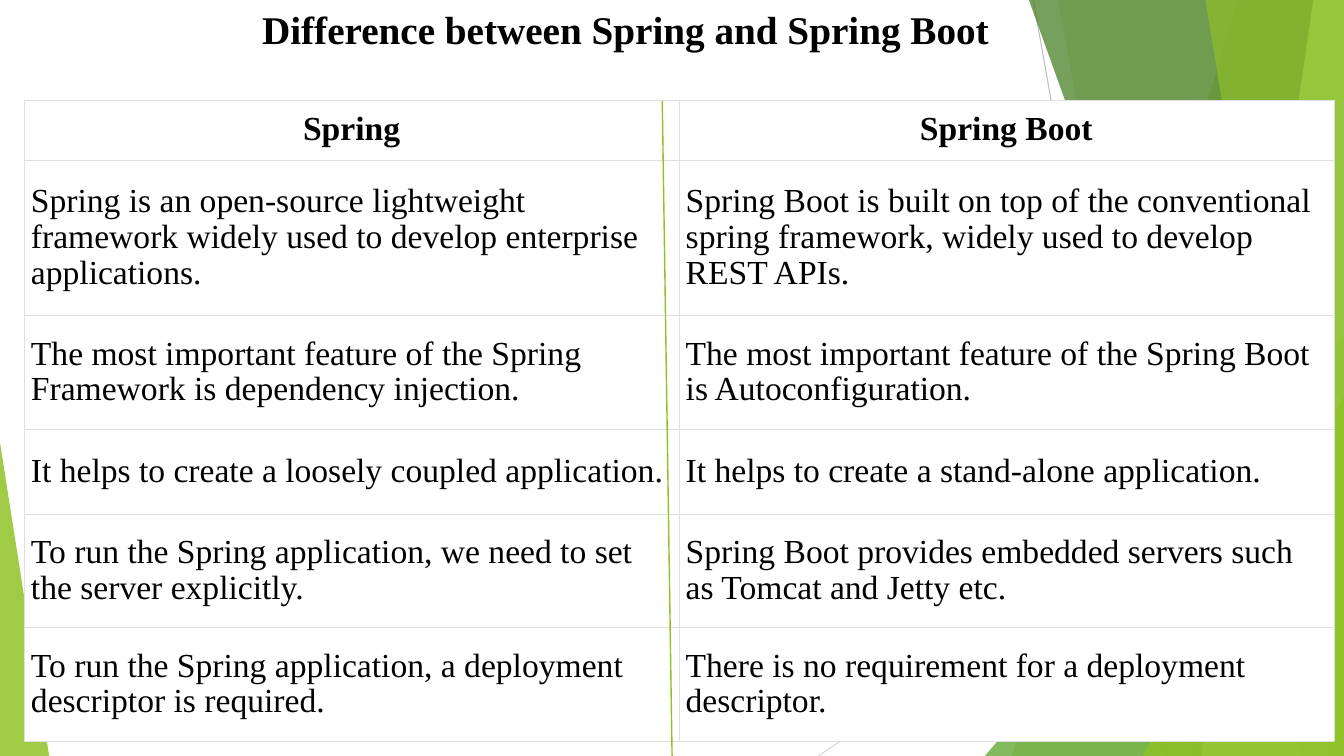
from lxml.etree import SubElement
from pptx import Presentation
from pptx.dml.color import RGBColor
from pptx.enum.shapes import MSO_CONNECTOR, MSO_SHAPE
from pptx.enum.text import MSO_ANCHOR, MSO_AUTO_SIZE, PP_ALIGN
from pptx.oxml.ns import qn
from pptx.util import Cm, Pt

WIDE, HIGH = 33.87, 19.05
FONT = "Times New Roman"
TITLE = "Difference between Spring and Spring Boot"
ROWS = [
    ("Spring", "Spring Boot"),
    ("Spring is an open-source lightweight framework widely used to develop "
     "enterprise applications.",
     "Spring Boot is built on top of the conventional spring framework, "
     "widely used to develop REST APIs."),
    ("The most important feature of the Spring Framework is dependency injection.",
     "The most important feature of the Spring Boot is Autoconfiguration."),
    ("It helps to create a loosely coupled application.",
     "It helps to create a stand-alone application."),
    ("To run the Spring application, we need to set the server explicitly.",
     "Spring Boot provides embedded servers such as Tomcat and Jetty etc."),
    ("To run the Spring application, a deployment descriptor is required.",
     "There is no requirement for a deployment descriptor."),
]
TALL = [1.5, 3.92, 2.86, 2.14, 2.86, 2.87]
RAYS = [
    (26.04, 0, 29.41, HIGH, "BFBFBF"),
    (WIDE, 10.24, 20.62, HIGH, "D9D9D9"),
]
# Bands: top x, bottom x. Wedges: left, top, width, apex. Then colour, opacity.
FACETS = [
    ("band", (31.19, 25.5), "90C226", 30),
    ("band", (26.67, 30.05), "90C226", 20),
    ("wedge", (24.82, 8.46, 9.05, 1), "54A021", 72),
    ("band", (25.93, 32.79), "3F7819", 70),
    ("band", (33.1, 30.28), "C0E474", 70),
    ("band", (30.38, 33.48), "90C226", 65),
    ("wedge", (28.8, 9.98, 5.07, 1), "90C226", 80),
    ("wedge", (0, 11.15, 1.24, 0), "90C226", 85),
]


def color(code):
    return RGBColor.from_string(code)


def line(x1, y1, x2, y2, code, size):
    part = shapes.add_connector(MSO_CONNECTOR.STRAIGHT, Cm(x1), Cm(y1), Cm(x2), Cm(y2))
    part.line.color.rgb = color(code)
    part.line.width = Pt(size)
    SubElement(part._element.spPr, qn("a:effectLst"))


def facet(kind, place, code, clear):
    if kind == "band":
        top, low = place
        pen = shapes.build_freeform(Cm(top), 0)
        pen.add_line_segments([(Cm(WIDE), 0), (Cm(WIDE), Cm(HIGH)), (Cm(low), Cm(HIGH))])
        part = pen.convert_to_shape()
    else:
        left, top, wide, apex = place
        part = shapes.add_shape(MSO_SHAPE.ISOSCELES_TRIANGLE, Cm(left), Cm(top),
                                Cm(wide), Cm(HIGH - top))
        part.adjustments[0] = apex
    part.shadow.inherit = False
    part.line.fill.background()
    part.fill.solid()
    part.fill.fore_color.rgb = color(code)
    tone = part._element.spPr.find(qn("a:solidFill"))[0]
    SubElement(tone, qn("a:alpha"), val=str(clear * 1000))


def write(para, text, size, bold):
    run = para.add_run()
    run.text = text
    run.font.name = FONT
    run.font.size = Pt(size)
    run.font.bold = bold
    run.font.color.rgb = color("000000")


def border(cell, code, size):
    props = cell._tc.get_or_add_tcPr()
    for spot, side in enumerate(("lnL", "lnR", "lnT", "lnB")):
        edge = props.makeelement(qn("a:" + side), {"w": str(Pt(size))})
        props.insert(spot, edge)
        SubElement(SubElement(edge, qn("a:solidFill")), qn("a:srgbClr"), val=code)


deck = Presentation()
deck.slide_width, deck.slide_height = Cm(WIDE), Cm(HIGH)
slide = deck.slides.add_slide(deck.slide_layouts[5])
shapes = slide.shapes

for ray in RAYS:
    line(*ray, 0.75)
for item in FACETS:
    facet(*item)

title = shapes.title
title.left, title.top, title.width, title.height = Cm(6.35), Cm(0), Cm(20), Cm(2.64)
frame = title.text_frame
frame.auto_size = MSO_AUTO_SIZE.NONE
frame.vertical_anchor = MSO_ANCHOR.TOP
frame.paragraphs[0].alignment = PP_ALIGN.LEFT
write(frame.paragraphs[0], TITLE, 28, True)

table = shapes.add_table(len(ROWS), 2, Cm(0.61), Cm(2.53), Cm(33), Cm(sum(TALL))).table
for col in table.columns:
    col.width = Cm(16.5)
for r, pair in enumerate(ROWS):
    table.rows[r].height = Cm(TALL[r])
    head = r == 0
    for c, text in enumerate(pair):
        cell = table.cell(r, c)
        cell.fill.solid()
        cell.fill.fore_color.rgb = color("FFFFFF")
        border(cell, "DFDFDF", 0.15)
        cell.vertical_anchor = MSO_ANCHOR.MIDDLE
        cell.margin_left = cell.margin_right = Cm(0.1 if head and c == 0 else 0.17)
        cell.margin_top = cell.margin_bottom = Cm(0.17 if head else 0.23)
        para = cell.text_frame.paragraphs[0]
        para.alignment = PP_ALIGN.CENTER if head else PP_ALIGN.LEFT
        para.line_spacing = 0.96
        write(para, text, 24, head)

line(16.69, 2.54, 16.94, 19.25, "90C226", 1)

deck.save("out.pptx")
